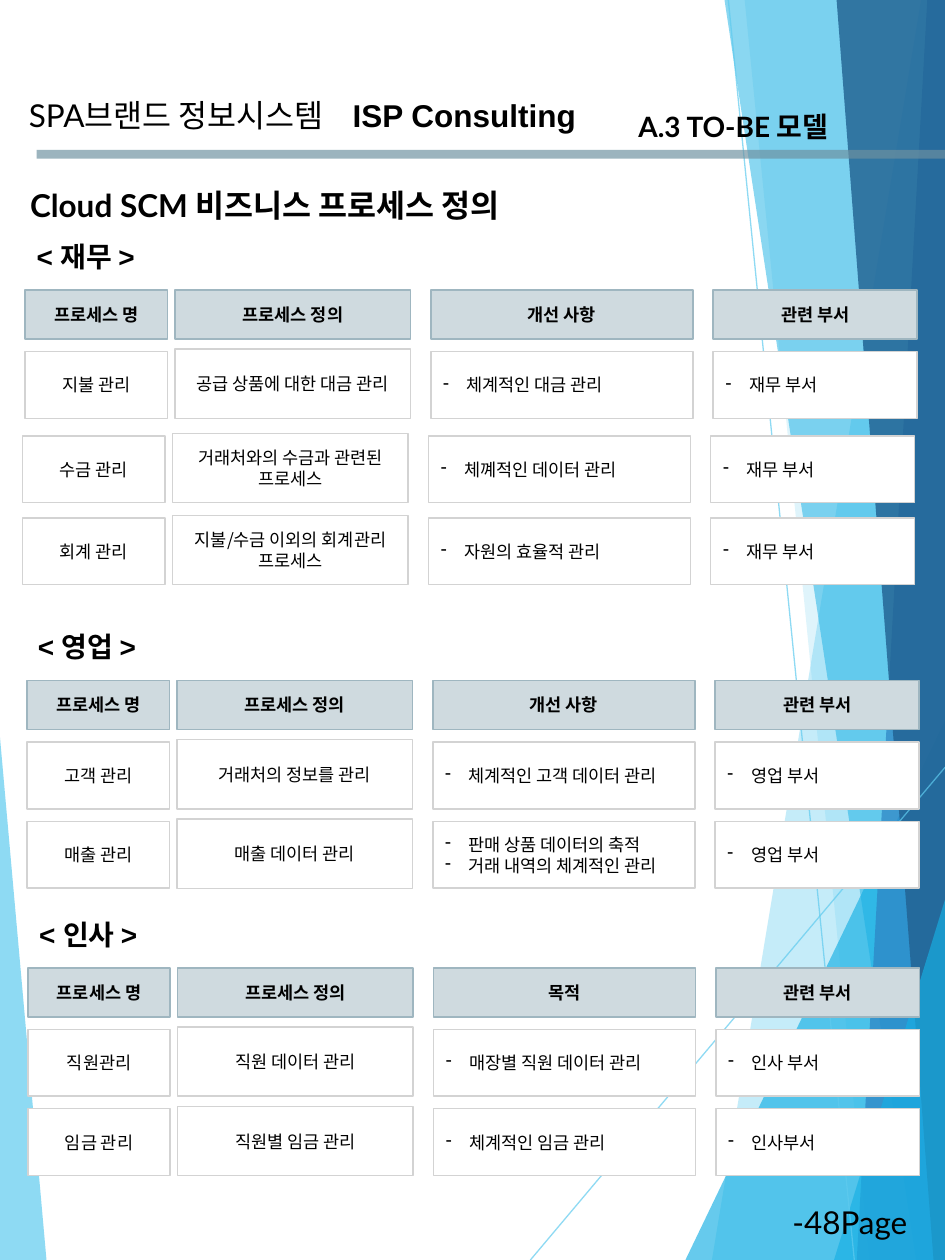
"""Build the SPA process definition page with three process tables."""
from lxml import etree
from pptx import Presentation
from pptx.dml.color import RGBColor
from pptx.enum import shapes, text
from pptx.oxml import ns
from pptx.util import Pt

BLACK = RGBColor(0x00, 0x00, 0x00)
WHITE = RGBColor(0xFF, 0xFF, 0xFF)
SKY = RGBColor(0x5F, 0xCB, 0xEF)
CYAN = RGBColor(0x17, 0xB0, 0xE4)
BLUE = RGBColor(0x2E, 0x83, 0xC3)
NAVY = RGBColor(0x22, 0x62, 0x92)
SLATE = RGBColor(0x6E, 0x91, 0xA0)
HEADER_FILL = RGBColor(0xCF, 0xDA, 0xDF)
HEADER_LINE = RGBColor(0x9F, 0xB6, 0xC0)
CELL_LINE = RGBColor(0xD3, 0xD3, 0xD3)
KOREAN = "Noto Sans CJK KR"


def set_alpha(shape, percent):
    color = shape._element.spPr.find(".//" + ns.qn("a:srgbClr"))
    etree.SubElement(color, ns.qn("a:alpha"), val=str(percent * 1000))


def write(shape, lines, size, font, bold=False, centered=False, bulleted=False):
    frame = shape.text_frame
    frame.text = "\n".join(lines)
    for paragraph in frame.paragraphs:
        paragraph.alignment = text.PP_ALIGN.CENTER if centered else text.PP_ALIGN.LEFT
        if bulleted:
            properties = paragraph._p.get_or_add_pPr()
            properties.set("marL", str(Pt(13.5)))
            properties.set("indent", str(-Pt(13.5)))
            etree.SubElement(properties, ns.qn("a:buFontTx"))
            etree.SubElement(properties, ns.qn("a:buChar"), char="-")
        paragraph.font.size = Pt(size)
        paragraph.font.bold = bold
        paragraph.font.color.rgb = BLACK
        paragraph.font.name = font
        etree.SubElement(paragraph.font._element, ns.qn("a:ea"), typeface=KOREAN)


presentation = Presentation()
presentation.slide_width = Pt(540)
presentation.slide_height = Pt(720)
slide = presentation.slides.add_slide(presentation.slide_layouts[6])

facets = [
    (SKY, 70, [(0, 421.2), (26.6, 720), (0, 720)]),
    (SKY, 36, [(526.3, 0), (406.8, 720), (540, 720), (540, 0)]),
    (SKY, 20, [(425.5, 0), (496.8, 720), (540, 720), (540, 0)]),
    (CYAN, 66, [(391.7, 720), (540, 411.8), (540, 720)]),
    (CYAN, 50, [(414, 0), (523.4, 720), (540, 720), (540, 0)]),
    (BLUE, 70, [(529.9, 0), (489.6, 720), (540, 720), (540, 0)]),
    (NAVY, 82, [(478.1, 0), (533.5, 720), (540, 720), (540, 0)]),
    (CYAN, 66, [(476.6, 720), (540, 514.1), (540, 720)]),
]
for color, opacity, points in facets:
    corners = [(Pt(x), Pt(y)) for x, y in points]
    builder = slide.shapes.build_freeform(*corners[0])
    builder.add_line_segments(corners[1:])
    facet = builder.convert_to_shape()
    facet.shadow.inherit = False
    facet.fill.solid()
    facet.fill.fore_color.rgb = color
    set_alpha(facet, opacity)
    facet.line.fill.background()

rules = [
    (303.1, 720, 540, 438.5, SKY, 0.75, 70),
    (416.2, 0, 488.2, 720, SKY, 0.75, 70),
    (20.9, 88.2, 540, 88.2, SLATE, 5, 67),
]
for x1, y1, x2, y2, color, width, opacity in rules:
    rule = slide.shapes.add_connector(
        shapes.MSO_CONNECTOR.STRAIGHT, Pt(x1), Pt(y1), Pt(x2), Pt(y2))
    rule.line.color.rgb = color
    rule.line.width = Pt(width)
    set_alpha(rule, opacity)
    etree.SubElement(rule._element.spPr, ns.qn("a:effectLst"))

labels = [
    ("ISP Consulting", 194.4, 51.1, 149, 28.8, 18, "Arial", True),
    ("SPA브랜드 정보시스템", 9.4, 51.1, 197.3, 28.8, 18, "Lato", False),
    ("A.3 TO-BE 모델", 357.8, 59, 126.7, 26.6, 16, "Lato", True),
    ("Cloud SCM 비즈니스 프로세스 정의", 10.1, 103, 295.9, 28.8, 18, "Lato", True),
    ("-48Page-", 445.7, 684, 85, 28.8, 18, "Lato", False),
]
for label, left, top, width, height, size, font, bold in labels:
    box = slide.shapes.add_textbox(Pt(left), Pt(top), Pt(width), Pt(height))
    box.text_frame.word_wrap = False
    write(box, [label], size, font, bold)

columns = [(14.4, 81.4), (100.1, 134.6), (246.2, 149.8), (407.5, 116.6)]
sections = [
    ("재무", 2.2, 133.2, "개선 사항", 0, 165.6, [
        (0, 200.9, "지불 관리", "공급 상품에 대한 대금 관리", "체계적인 대금 관리", "재무 부서"),
        (-1.4, 249.1, "수금 관리", "거래처와의 수금과 관련된 프로세스", "체꼐적인 데이터 관리", "재무 부서"),
        (-1.4, 295.9, "회계 관리", "지불/수금 이외의 회계관리 프로세스", "자원의 효율적 관리", "재무 부서"),
    ]),
    ("영업", 2.9, 356.4, "개선 사항", 1.1, 388.8, [
        (1.1, 424.1, "고객 관리", "거래처의 정보를 관리", "체계적인 고객 데이터 관리", "영업 부서"),
        (1.1, 469.4, "매출 관리", "매출 데이터 관리",
         "판매 상품 데이터의 축적\n거래 내역의 체계적인 관리", "영업 부서"),
    ]),
    ("인사", 3.6, 520.6, "목적", 1.5, 553, [
        (1.5, 588.2, "직원관리", "직원 데이터 관리", "매장별 직원 데이터 관리", "인사 부서"),
        (1.5, 633.6, "임금 관리", "직원별 임금 관리", "체계적인 임금 관리", "인사부서"),
    ]),
]
for name, title_left, title_top, third_header, shift, header_top, body in sections:
    title = slide.shapes.add_textbox(Pt(title_left), Pt(title_top), Pt(93.6), Pt(26.6))
    title.text_frame.word_wrap = True
    write(title, [f"< {name} >"], 16, "Arial", True, True)

    header = (shift, header_top, "프로세스 명", "프로세스 정의", third_header, "관련 부서")
    for row_index, (offset, top, *cells) in enumerate([header] + body):
        is_header = row_index == 0
        for column, ((left, width), content) in enumerate(zip(columns, cells)):
            rise = 1.4 if column == 1 and not is_header else 0
            height = 28.1 if is_header else 38.2 + rise
            cell = slide.shapes.add_shape(
                shapes.MSO_SHAPE.RECTANGLE,
                Pt(left + offset), Pt(top - rise), Pt(width), Pt(height))
            cell.shadow.inherit = False
            cell.fill.solid()
            cell.fill.fore_color.rgb = HEADER_FILL if is_header else WHITE
            cell.line.color.rgb = HEADER_LINE if is_header else CELL_LINE
            cell.line.width = Pt(0.85)
            cell.text_frame.word_wrap = True
            cell.text_frame.vertical_anchor = text.MSO_ANCHOR.MIDDLE
            bulleted = column > 1 and not is_header
            write(cell, content.split("\n"), 10, KOREAN, is_header, not bulleted, bulleted)

presentation.save("out.pptx")
